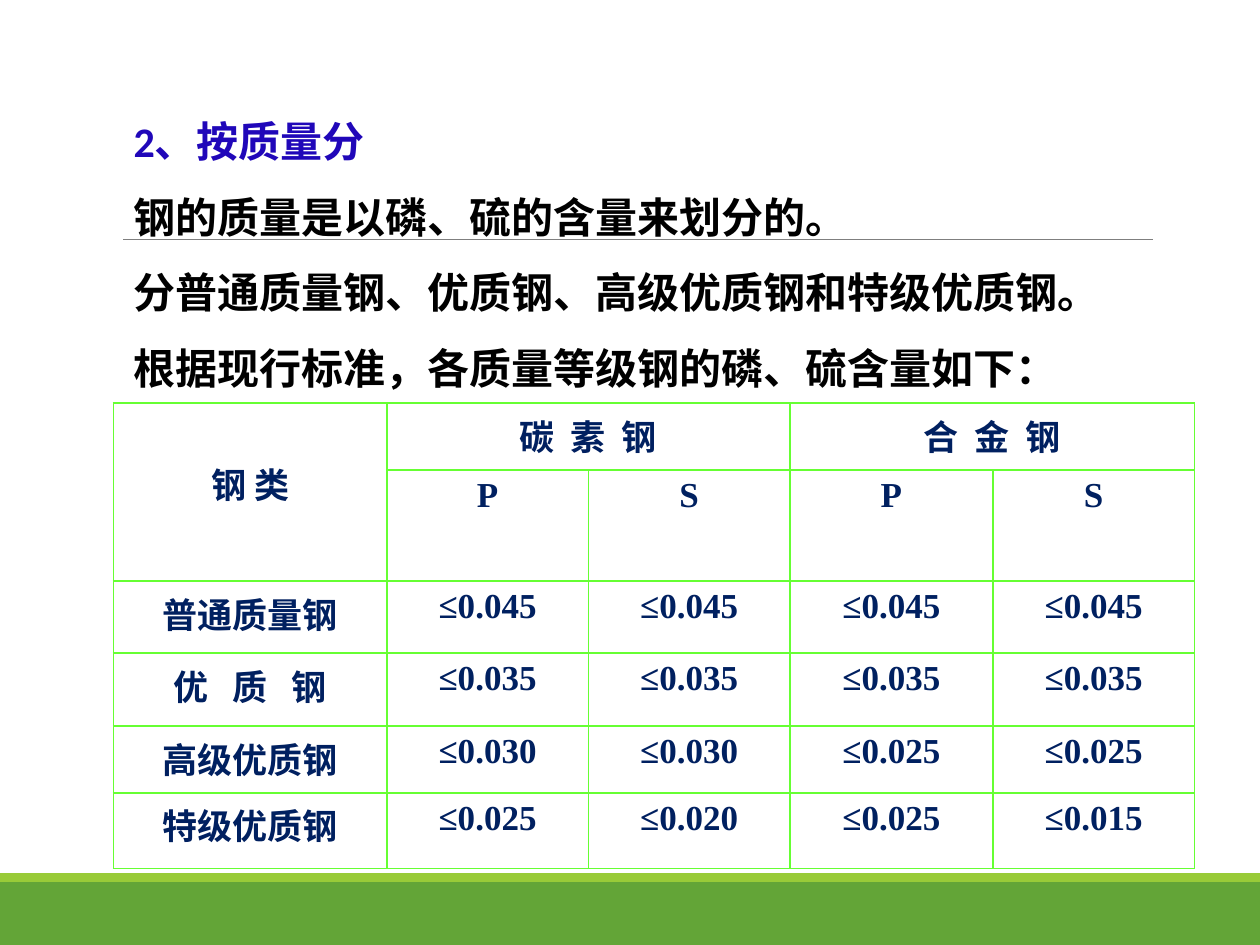
from lxml.etree import SubElement
from pptx import Presentation
from pptx.dml.color import RGBColor
from pptx.enum.shapes import MSO_CONNECTOR, MSO_SHAPE
from pptx.enum.text import PP_ALIGN
from pptx.oxml.ns import qn
from pptx.util import Inches, Pt


def color(hex_text):
    """Turn a hex string into a colour."""
    return RGBColor.from_string(hex_text)


def write(paragraph, text, font="Calibri", size=24, fill="000000", align=PP_ALIGN.LEFT,
          spacing=None, east_asian=None):
    """Write one bold formatted run into a paragraph."""
    paragraph.alignment = align
    if spacing:
        paragraph.line_spacing = spacing
    run = paragraph.add_run()
    run.text = text
    run.font.size = Pt(size)
    run.font.bold = True
    run.font.color.rgb = color(fill)
    run.font.name = font
    if east_asian:
        SubElement(run.font._element, qn("a:ea")).set("typeface", east_asian)


class SteelSlide:
    """Hold the style and the current slide."""

    green, lime, rule_gray = "63A537", "99CB38", "7F7F7F"
    heading, ink, navy, border = "2007B9", "000000", "002060", "66FF33"
    chinese, latin = "Noto Sans CJK SC", "Times New Roman"

    def __init__(self, presentation):
        """Add a blank slide."""
        self.slide = presentation.slides.add_slide(presentation.slide_layouts[6])

    def bar(self, top, height, fill):
        """Draw a full-width band."""
        shape = self.slide.shapes.add_shape(
            MSO_SHAPE.RECTANGLE, 0, Inches(top), Inches(10), Inches(height))
        shape.shadow.inherit = False
        shape.fill.solid()
        shape.fill.fore_color.rgb = color(fill)
        shape.line.fill.background()

    def rule(self, left, right, top):
        """Draw a thin horizontal line."""
        line = self.slide.shapes.add_connector(
            MSO_CONNECTOR.STRAIGHT, Inches(left), Inches(top), Inches(right), Inches(top))
        line.line.color.rgb = color(self.rule_gray)
        line.line.width = Pt(0.5)
        SubElement(line._element.spPr, qn("a:effectLst"))

    def outline(self, cell):
        """Give a cell a border on all four sides."""
        properties = cell._tc.get_or_add_tcPr()
        for side in ("a:lnL", "a:lnR", "a:lnT", "a:lnB"):
            line = SubElement(properties, qn(side), w=str(Pt(1.08)))
            fill = SubElement(line, qn("a:solidFill"))
            SubElement(fill, qn("a:srgbClr"), val=self.border)

    def table(self, left, top, widths, heights, rows, merges):
        """Add a bordered table with merged header cells."""
        table = self.slide.shapes.add_table(
            len(rows), len(widths), Inches(left), Inches(top),
            Inches(sum(widths)), Inches(sum(heights))).table
        table.first_row = table.horz_banding = False
        for column, width in zip(table.columns, widths):
            column.width = Inches(width)
        for row, height in zip(table.rows, heights):
            row.height = Inches(height)
        for row_index, row in enumerate(rows):
            for column_index, text in enumerate(row):
                cell = table.cell(row_index, column_index)
                self.outline(cell)
                cell.fill.background()
                if text:
                    is_chinese = row_index == 0 or column_index == 0
                    write(cell.text_frame.paragraphs[0], text, size=20, fill=self.navy,
                          font=self.chinese if is_chinese else self.latin,
                          east_asian=self.chinese if is_chinese else None,
                          align=PP_ALIGN.CENTER)
        for first, last in merges:
            table.cell(*first).merge(table.cell(*last))
        return table

    def text(self, left, top, width, height, lines):
        """Add a text box with one paragraph for each line and its colour."""
        frame = self.slide.shapes.add_textbox(
            Inches(left), Inches(top), Inches(width), Inches(height)).text_frame
        frame.word_wrap = True
        frame.margin_left = Inches(0.23)
        frame.margin_right = 0
        for index, (line, fill) in enumerate(lines):
            paragraph = frame.add_paragraph() if index else frame.paragraphs[0]
            write(paragraph, line, fill=fill, spacing=1.5)


def main():
    """Build and save the slide."""
    presentation = Presentation()
    presentation.slide_width, presentation.slide_height = Inches(10), Inches(7.5)
    steel = SteelSlide(presentation)
    steel.bar(7, 0.5, steel.green)
    steel.bar(6.93, 0.07, steel.lime)
    steel.rule(0.98, 9.15, 1.9)
    table = steel.table(
        0.9, 3.2, [2.17, 1.6, 1.6, 1.61, 1.6], [0.53, 0.88, 0.57, 0.58, 0.53, 0.6],
        [["钢 类", "碳  素  钢", "", "合  金  钢", ""],
         ["", "P", "S", "P", "S"],
         ["普通质量钢"] + ["≤0.045"] * 4,
         ["优   质   钢"] + ["≤0.035"] * 4,
         ["高级优质钢", "≤0.030", "≤0.030", "≤0.025", "≤0.025"],
         ["特级优质钢", "≤0.025", "≤0.020", "≤0.025", "≤0.015"]],
        [((0, 0), (1, 0)), ((0, 1), (0, 2)), ((0, 3), (0, 4))])
    table.cell(0, 0).margin_top = Inches(0.43)
    steel.text(0.83, 0.67, 9.58, 2.53, [
        ("2、按质量分", steel.heading),
        ("钢的质量是以磷、硫的含量来划分的。", steel.ink),
        ("分普通质量钢、优质钢、高级优质钢和特级优质钢。", steel.ink),
        ("根据现行标准，各质量等级钢的磷、硫含量如下：", steel.ink)])
    presentation.save("out.pptx")


if __name__ == "__main__":
    main()
